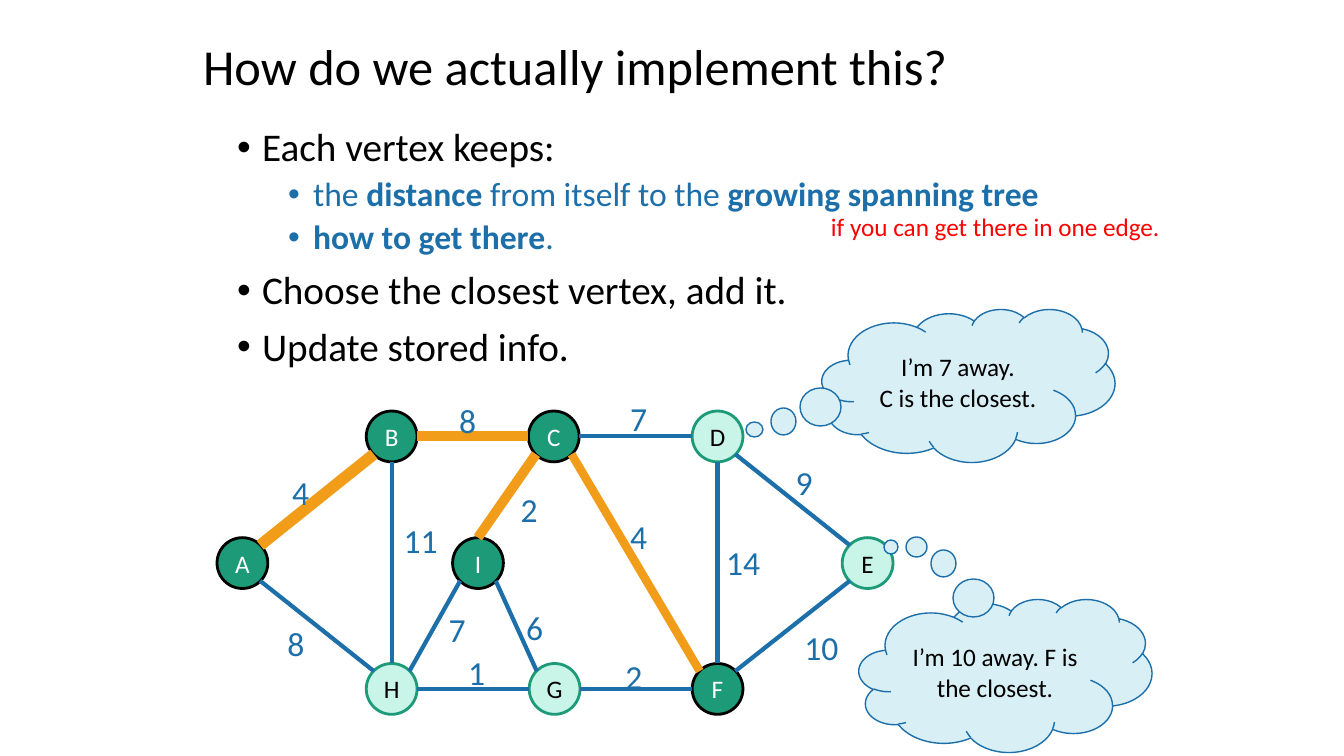
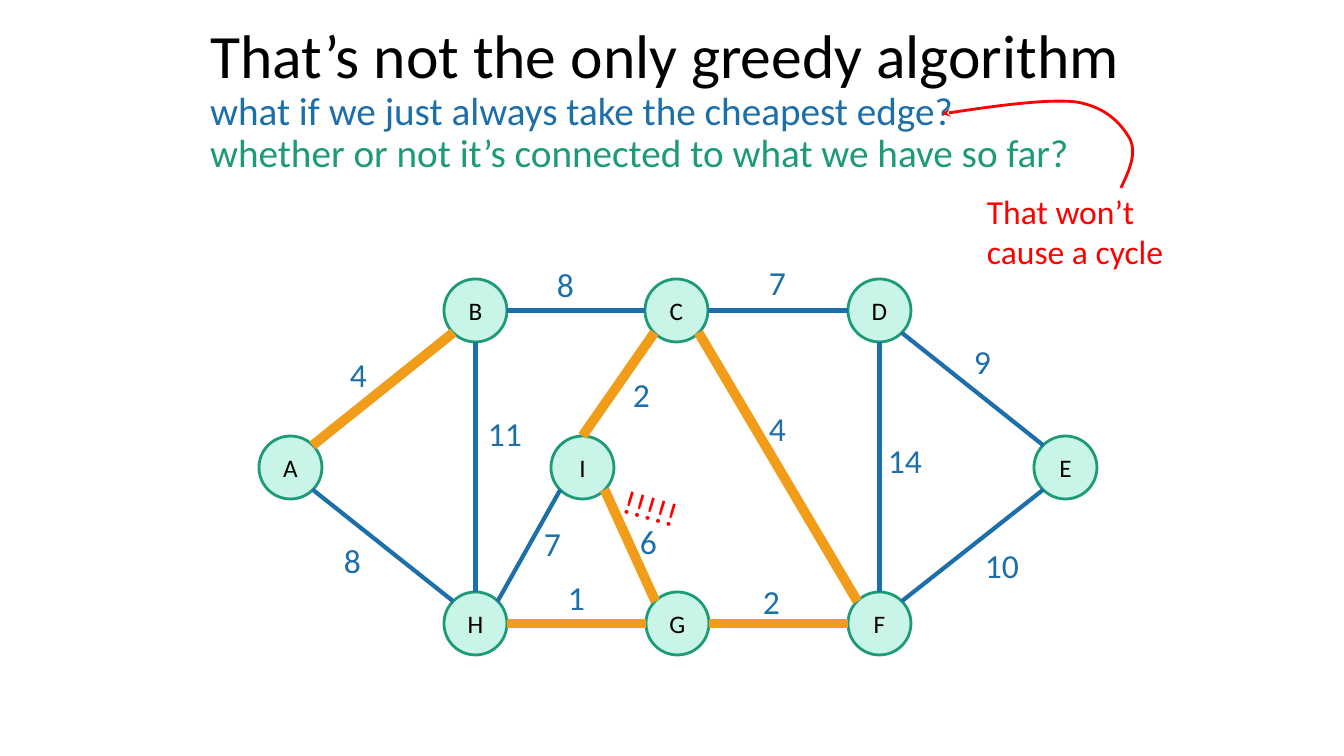
from copy import deepcopy

from lxml.etree import SubElement
from pptx import Presentation
from pptx.dml.color import RGBColor
from pptx.enum.shapes import MSO_CONNECTOR, MSO_SHAPE
from pptx.enum.text import MSO_ANCHOR as ANCHOR, MSO_AUTO_SIZE, PP_ALIGN as ALIGN
from pptx.oxml.ns import qn
from pptx.util import Emu, Pt

SLIDE_WIDTH, SLIDE_HEIGHT = 1344, 756
EMU_PER_PX = 12192000 / SLIDE_WIDTH
FONT = "Calibri"
COLORS = {
    "black": "000000",
    "white": "FFFFFF",
    "blue": "1D6FA9",
    "green": "1D9A78",
    "mint": "C8F5E8",
    "sky": "D7EFF5",
    "orange": "F19D19",
    "red": "FF0000",
}

GRAPH_WIDTH = 838
NODE_SIZE = 63
LABEL_WIDTH, LABEL_HEIGHT = 87, 50
TOP_ROW, MIDDLE_ROW, BOTTOM_ROW = 0, 157, 313
NODES = {
    "A": (0, MIDDLE_ROW),
    "B": (185, TOP_ROW),
    "C": (386, TOP_ROW),
    "D": (589, TOP_ROW),
    "E": (775, MIDDLE_ROW),
    "F": (589, BOTTOM_ROW),
    "G": (387, BOTTOM_ROW),
    "H": (185, BOTTOM_ROW),
    "I": (292, MIDDLE_ROW),
}
SITES = {
    "n": (0.5, 0), "s": (0.5, 1), "w": (0, 0.5), "e": (1, 0.5),
    "nw": (0.15, 0.15), "ne": (0.85, 0.15),
    "sw": (0.15, 0.85), "se": (0.85, 0.85),
}
EDGES = [
    ("AB", "ne", "sw", 4, (81, 70)),
    ("AH", "se", "nw", 8, (75, 256)),
    ("BC", "e", "w", 8, (288, -20)),
    ("BH", "s", "n", 11, (219, 129)),
    ("CD", "e", "w", 7, (500, -22)),
    ("CF", "se", "nw", 4, (500, 124)),
    ("CI", "sw", "n", 2, (364, 90)),
    ("DE", "se", "nw", 9, (705, 57)),
    ("DF", "s", "n", 14, (619, 156)),
    ("EF", "sw", "ne", 10, (716, 261)),
    ("GF", "e", "w", 2, (494, 297)),
    ("HG", "e", "w", 1, (299, 293)),
    ("IG", "se", "nw", 6, (371, 237)),
    ("IH", "sw", "ne", 7, (275, 239)),
]


def px(*lengths):
    return [Emu(round(length * EMU_PER_PX)) for length in lengths]


def color_of(name):
    return RGBColor.from_string(COLORS[name])


def write(paragraph, text, size=18, color="black", bold=False):
    run = paragraph.add_run()
    run.text = text.rstrip("\n")
    run.font.name = FONT
    run.font.size = Pt(size)
    run.font.bold = bold
    run.font.color.rgb = color_of(color)
    if text.endswith("\n"):
        paragraph.add_line_break()
        paragraph._p[-1].append(deepcopy(run._r.rPr))


def place(shape, box):
    shape.left, shape.top, shape.width, shape.height = px(*box)


def add_title(slide, box, runs):
    title = slide.shapes.title
    place(title, box)
    frame = title.text_frame
    frame.auto_size = MSO_AUTO_SIZE.NONE
    frame.vertical_anchor = ANCHOR.MIDDLE
    paragraph = frame.paragraphs[0]
    paragraph.alignment = ALIGN.LEFT
    paragraph.line_spacing = 0.9
    for text, style in runs:
        write(paragraph, text, **style)


def add_bullets(slide, box, items):
    body = slide.placeholders[1]
    place(body, box)
    frame = body.text_frame
    frame.auto_size = MSO_AUTO_SIZE.NONE
    for index, (level, runs) in enumerate(items):
        paragraph = frame.add_paragraph() if index else frame.paragraphs[0]
        paragraph.level = level
        paragraph.line_spacing = 0.9
        paragraph.space_before = Pt((10, 5)[level] if index else 0)
        properties = paragraph._p.get_or_add_pPr()
        indent, margin = px(-25, (25, 76)[level])
        properties.set("marL", str(margin))
        properties.set("indent", str(indent))
        SubElement(properties, qn("a:buFont"), typeface="Arial")
        SubElement(properties, qn("a:buChar"), char="•")
        for text, bold in runs:
            write(paragraph, text, size=(28, 24)[level],
                  color=("black", "blue")[level], bold=bold)


def add_label(slide, box, text, rotation=0, **style):
    label = slide.shapes.add_textbox(*px(*box))
    label.rotation = rotation
    label.text_frame.word_wrap = True
    write(label.text_frame.paragraphs[0], text, **style)


def add_figure(slide, kind, box, fill, line, line_width):
    shape = slide.shapes.add_shape(kind, *px(*box))
    shape.shadow.inherit = False
    shape.fill.solid()
    shape.fill.fore_color.rgb = color_of(fill)
    shape.line.color.rgb = color_of(line)
    shape.line.width = Pt(line_width)
    return shape


def write_centered(shape, lines, **style):
    frame = shape.text_frame
    frame.word_wrap = True
    frame.vertical_anchor = ANCHOR.MIDDLE
    for index, text in enumerate(lines):
        paragraph = frame.add_paragraph() if index else frame.paragraphs[0]
        paragraph.alignment = ALIGN.CENTER
        write(paragraph, text, **style)


def add_node(slide, box, name, reached):
    fill, line, color = (("green", "black", "white") if reached
                         else ("mint", "green", "black"))
    node = add_figure(slide, MSO_SHAPE.OVAL, box, fill, line, 2)
    frame = node.text_frame
    frame.margin_left = frame.margin_right = 0
    write_centered(node, [name], color=color)


def add_edge(slide, ends, color, width):
    edge = slide.shapes.add_connector(MSO_CONNECTOR.STRAIGHT, *px(*ends))
    edge.line.color.rgb = color_of(color)
    edge.line.width = Pt(width)
    SubElement(edge._element.spPr, qn("a:effectLst"))


def add_graph(slide, left, top, width, tree, reached=""):
    scale = width / GRAPH_WIDTH

    def point(x, y):
        return left + x * scale, top + y * scale

    def site(name, side):
        (x, y), (across, down) = NODES[name], SITES[side]
        return point(x + across * NODE_SIZE, y + down * NODE_SIZE)

    size = NODE_SIZE * scale
    for name, corner in NODES.items():
        add_node(slide, (*point(*corner), size, size), name, name in reached)
    for (start, end), start_side, end_side, _, _ in EDGES:
        tree_width = tree.get(start + end)
        add_edge(slide, site(start, start_side) + site(end, end_side),
                 "orange" if tree_width else "blue", tree_width or 3)
    for _, _, _, weight, corner in EDGES:
        add_label(slide, (*point(*corner), LABEL_WIDTH * scale, LABEL_HEIGHT),
                  str(weight), size=24, color="blue")


def add_thought(slide, left, top, lines, bubbles):
    cloud = add_figure(slide, MSO_SHAPE.CLOUD, (left, top, 293, 153),
                       "sky", "blue", 1)
    write_centered(cloud, lines)
    for x, y, width, height in bubbles:
        add_figure(slide, MSO_SHAPE.OVAL, (left + x, top + y, width, height),
                   "sky", "blue", 1)


def add_curved_arrow(slide, left, top, points):
    (start_x, start_y), *rest = [(left + x, top + y) for x, y in points]
    builder = slide.shapes.build_freeform(start_x, start_y, scale=EMU_PER_PX)
    builder.add_line_segments(rest, close=False)
    arrow = builder.convert_to_shape()
    arrow.shadow.inherit = False
    arrow.fill.background()
    arrow.line.color.rgb = color_of("red")
    arrow.line.width = Pt(2)
    segments = list(arrow._element.iter(qn("a:lnTo")))
    for first, second, third in zip(*[iter(segments)] * 3):
        first.tag = qn("a:cubicBezTo")
        for segment in (second, third):
            first.append(segment[0])
            segment.getparent().remove(segment)
    SubElement(arrow.line._get_or_add_ln(), qn("a:tailEnd"), type="stealth")


def build_implementation_slide(presentation):
    slide = presentation.slides.add_slide(presentation.slide_layouts[1])
    add_title(slide, (193, -4, 869, 146),
              [("How do we actually implement this?", {"size": 36})])
    add_bullets(slide, (227, 123, 869, 480), [
        (0, [("Each vertex keeps:", False)]),
        (1, [("the ", False), ("distance", True),
             (" from itself to the ", False), ("growing spanning tree", True)]),
        (1, [("how to get there", True), (".", False)]),
        (0, [("Choose the closest vertex, add it.", False)]),
        (0, [("Update stored info.", False)]),
    ])
    add_graph(slide, 217, 411, 676, reached="ABCIF",
              tree={"AB": 8.25, "BC": 7, "CI": 7, "CF": 6})
    add_thought(slide, 822, 309, ["I’m 7 away.", "C is the closest."],
                [(-22, 79, 41, 38), (-51, 99, 25, 27), (-76, 113, 17, 15)])
    add_thought(slide, 859, 599, ["I’m 10 away. F is the closest."],
                [(94, -20, 41, 38), (72, -49, 25, 27),
                 (47, -62, 21, 20), (25, -59, 14, 14)])
    add_label(slide, (821, 206, 414, 40), "if you can get there in one edge.",
              color="red")


def build_greedy_slide(presentation):
    slide = presentation.slides.add_slide(presentation.slide_layouts[5])
    add_title(slide, (200, 4, 980, 193), [
        ("That’s not the only greedy algorithm\n", {"size": 44}),
        ("what if we just always take the cheapest edge?\n",
         {"size": 28, "color": "blue"}),
        ("whether or not it’s connected to what we have so far?",
         {"size": 28, "color": "green"}),
    ])
    add_graph(slide, 259, 279, GRAPH_WIDTH,
              tree=dict.fromkeys(["AB", "CF", "CI", "GF", "HG", "IG"], 7))
    add_label(slide, (612, 494, 157, 50), "!!!!!", rotation=16.5,
              size=24, color="red")
    add_label(slide, (977, 186, 252, 92), "That won’t cause a cycle",
              size=24, color="red")
    add_curved_arrow(slide, 942, 102, [
        (179, 86), (187, 69), (195, 52), (188, 37), (180, 23),
        (165, 5), (134, 0), (102, -4), (0, 12), (0, 12),
    ])


def main():
    presentation = Presentation()
    presentation.slide_width, presentation.slide_height = px(
        SLIDE_WIDTH, SLIDE_HEIGHT)
    build_implementation_slide(presentation)
    build_greedy_slide(presentation)
    presentation.save("out.pptx")


if __name__ == "__main__":
    main()
